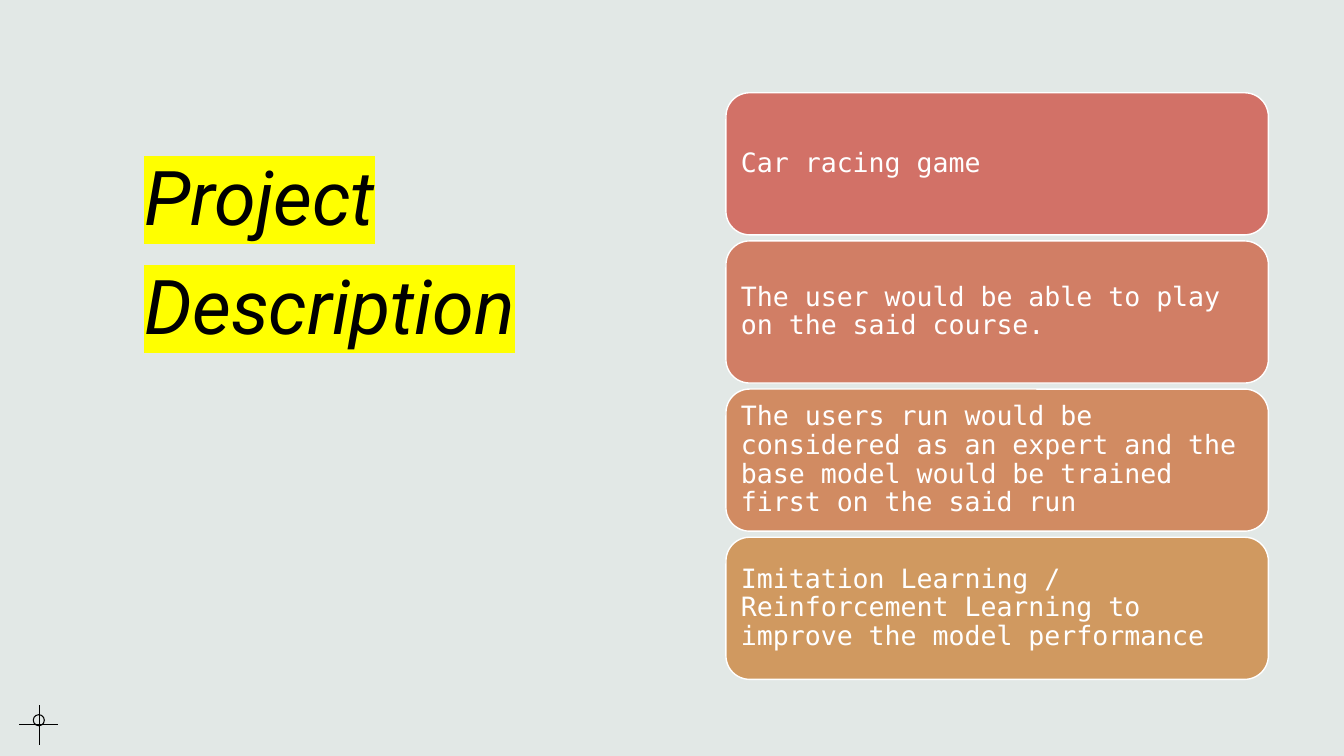
from lxml.etree import SubElement
from pptx import Presentation
from pptx.dml.color import RGBColor
from pptx.enum.shapes import MSO_CONNECTOR, MSO_SHAPE
from pptx.enum.text import MSO_ANCHOR, MSO_AUTO_SIZE, PP_ALIGN
from pptx.oxml import parse_xml
from pptx.oxml.ns import nsdecls, qn
from pptx.util import Inches, Pt

COLORS = {
    "background": "E2E8E6",
    "ink": "000000",
    "marker": "FFFF00",
    "white": "FFFFFF",
    "red": "D27167",
    "coral": "D17E65",
    "orange": "D18B62",
    "gold": "D09960",
}


class SlideBuilder:
    title_font = "Roboto"
    body_font = "DejaVu Sans Mono"

    def __init__(self, page):
        self.page = page
        page.background.fill.solid()
        page.background.fill.fore_color.rgb = self.color("background")

    def color(self, name):
        return RGBColor.from_string(COLORS[name])

    def add_text(self, frame, text, font, size, color, spacing, inset, anchor):
        frame.word_wrap = True
        frame.auto_size = MSO_AUTO_SIZE.NONE
        frame.vertical_anchor = anchor
        frame.margin_left = frame.margin_right = Inches(inset[0])
        frame.margin_top = frame.margin_bottom = Inches(inset[1])
        para = frame.paragraphs[0]
        para.alignment = PP_ALIGN.LEFT
        para.line_spacing = spacing
        span = para.add_run()
        span.text = text
        span.font.name = font
        span.font.size = Pt(size)
        span.font.color.rgb = self.color(color)
        return span

    def title(self, text, left, top, width, height):
        box = self.page.shapes.title
        box.left, box.top = Inches(left), Inches(top)
        box.width, box.height = Inches(width), Inches(height)
        span = self.add_text(box.text_frame, text, self.title_font, 54, "ink",
                             1.2, (0.1, 0.05), MSO_ANCHOR.TOP)
        span.font.italic = True
        highlight = parse_xml(
            f'<a:highlight {nsdecls("a")}><a:srgbClr val="{COLORS["marker"]}"/></a:highlight>')
        span.font._element.find(qn("a:solidFill")).addnext(highlight)

    def line(self, start_x, start_y, end_x, end_y):
        stroke = self.page.shapes.add_connector(
            MSO_CONNECTOR.STRAIGHT, Inches(start_x), Inches(start_y),
            Inches(end_x), Inches(end_y))
        stroke.line.color.rgb = self.color("ink")
        stroke.line.width = Pt(0.75)
        SubElement(stroke._element.spPr, qn("a:effectLst"))

    def shape(self, kind, left, top, width, height, line, weight, fill=None):
        box = self.page.shapes.add_shape(
            kind, Inches(left), Inches(top), Inches(width), Inches(height))
        box.shadow.inherit = False
        box.line.color.rgb = self.color(line)
        box.line.width = Pt(weight)
        if fill:
            box.fill.solid()
            box.fill.fore_color.rgb = self.color(fill)
        else:
            box.fill.background()
        return box

    def card(self, text, fill, left, top, width, height):
        box = self.shape(MSO_SHAPE.ROUNDED_RECTANGLE, left, top, width, height,
                         "white", 1, fill)
        self.add_text(box.text_frame, text, self.body_font, 19, "white",
                      0.9, (0.08, 0.08), MSO_ANCHOR.MIDDLE)


deck = Presentation()
deck.slide_width, deck.slide_height = Inches(13.33), Inches(7.5)
builder = SlideBuilder(deck.slides.add_slide(deck.slide_layouts[5]))

builder.title("Project Description", 1.33, 1.26, 5.72, 4.94)

builder.line(0.19, 7.19, 0.58, 7.19)
builder.line(0.39, 7.39, 0.39, 6.99)
builder.shape(MSO_SHAPE.OVAL, 0.33, 7.09, 0.11, 0.11, "ink", 0.75)

CARDS = [
    ("Car racing game", "red"),
    ("The user would be able to play on the said course.", "coral"),
    ("The users run would be considered as an expert and the base model "
     "would be trained first on the said run", "orange"),
    ("Imitation Learning / Reinforcement Learning to improve the model "
     "performance", "gold"),
]
CARD_TOP, CARD_HEIGHT, CARD_GAP = 0.92, 1.41, 0.06
for index, (text, fill) in enumerate(CARDS):
    top = CARD_TOP + index * (CARD_HEIGHT + CARD_GAP)
    builder.card(text, fill, 7.2, top, 5.38, CARD_HEIGHT)

deck.save("out.pptx")
